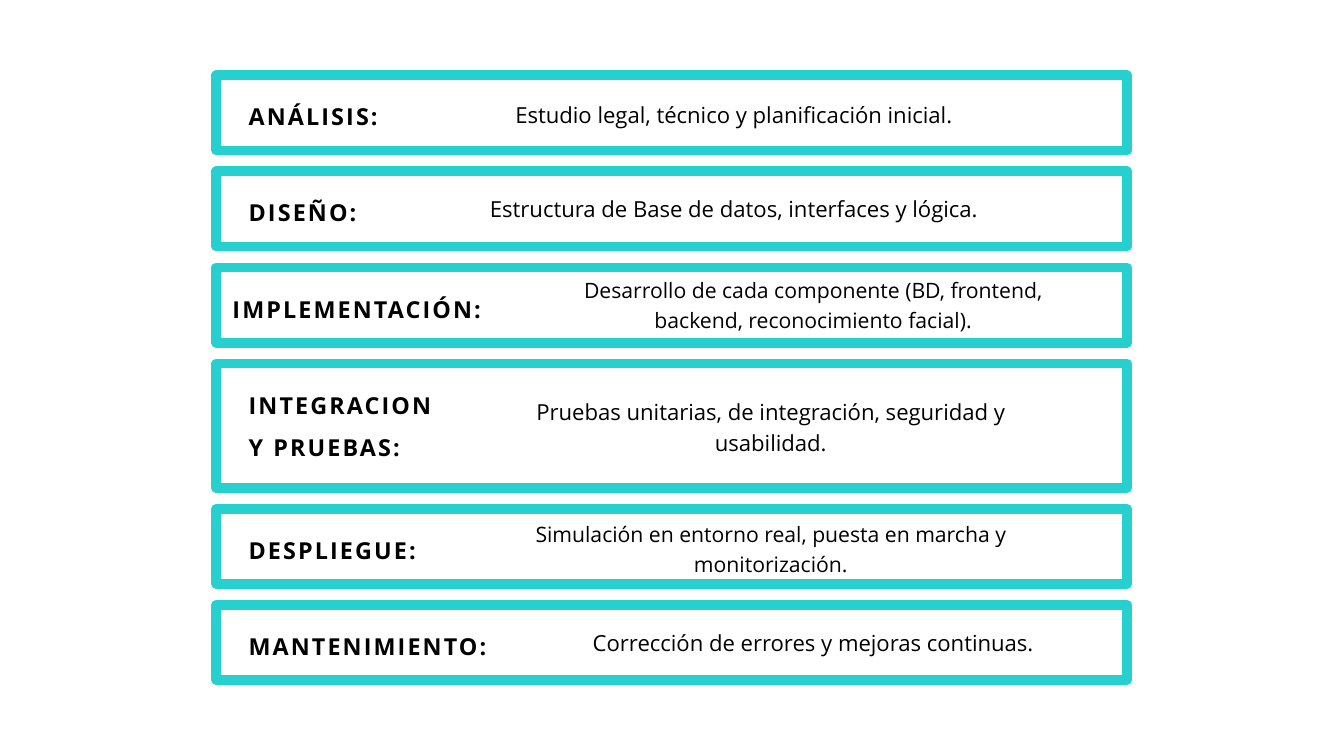
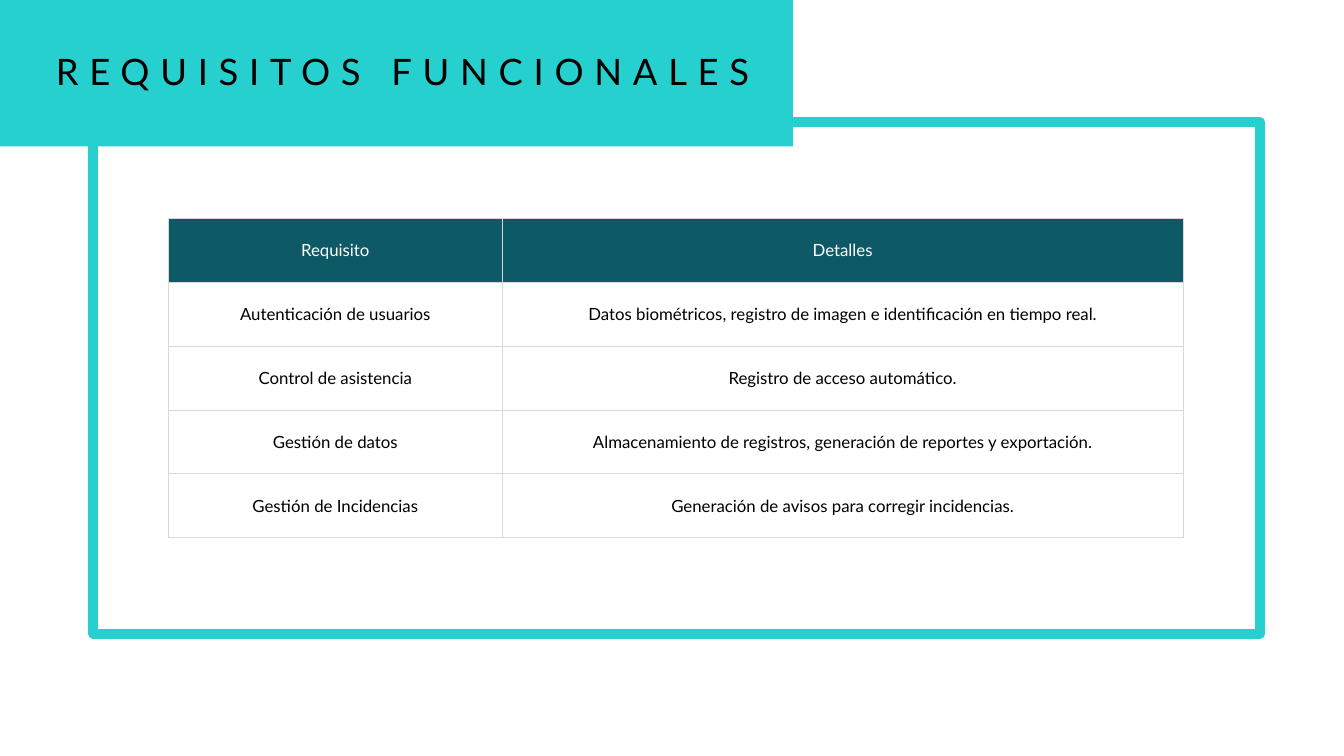
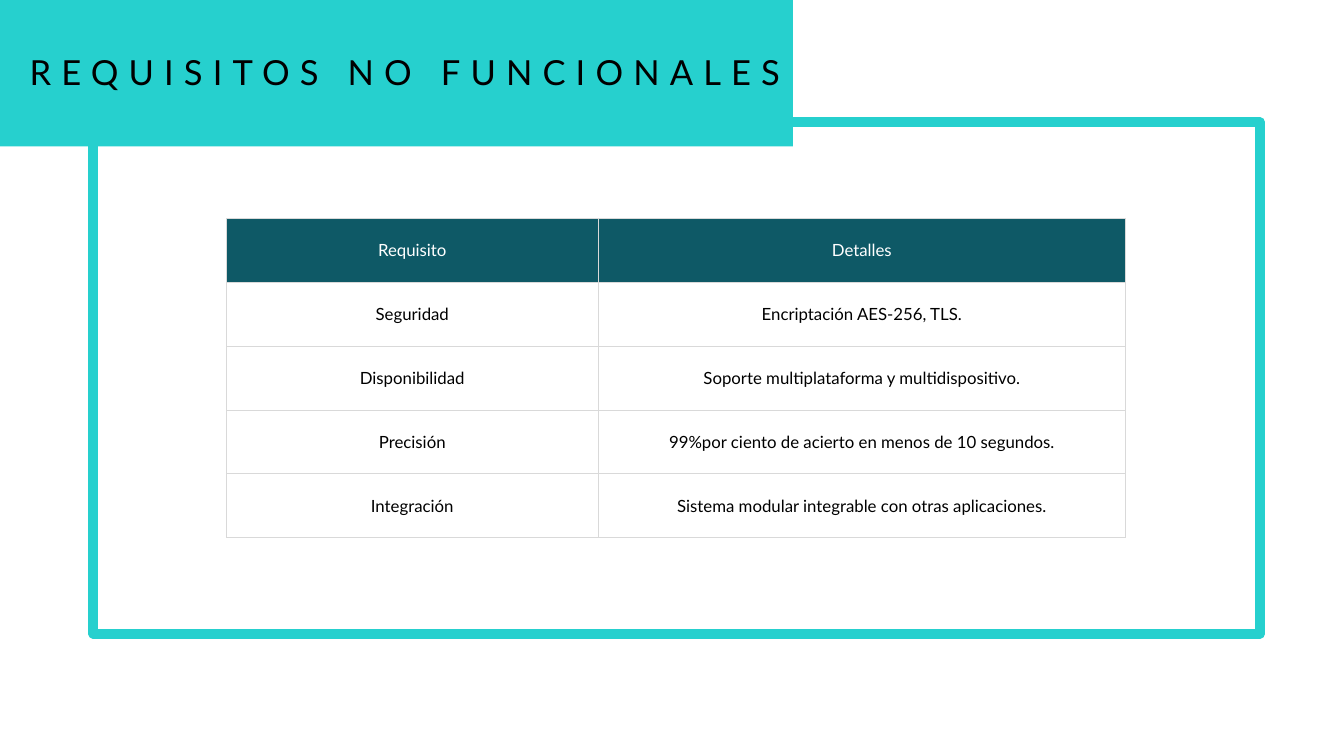
import dataclasses

import pptx
import pptx.dml.color
import pptx.enum.shapes
import pptx.enum.text
import pptx.oxml
import pptx.oxml.ns
import pptx.util
from lxml import etree

Inches = pptx.util.Inches
Pt = pptx.util.Pt
ALIGN = pptx.enum.text.PP_ALIGN

# Shared look
TURQUOISE = "26D0CE"
PETROL = "0E5966"
GRID = "D9D9D9"
BLACK = "000000"
WHITE = "FFFFFF"
FRAME_WIDTH = 10.5
TITLE_ONLY, BLANK = 5, 6

# Phase rows
ROW_LEFT, ROW_TOP, ROW_WIDTH, ROW_GAP = 3.22, 1.12, 13.55, 0.31
LABEL_OFFSET, DETAIL_WIDTH = 0.19, 8.14

# Requirement tables
TABLE_TOP, TABLE_ROW_HEIGHT = 3.25, 0.95
HEADINGS = ("Requisito", "Detalles")


@dataclasses.dataclass(frozen=True)
class Style:
    font: str
    size: float
    leading: float
    bold: bool = False
    tracking: float = 0
    align: ALIGN = ALIGN.LEFT


@dataclasses.dataclass(frozen=True)
class Phase:
    label: tuple[str, ...]
    label_width: float
    detail: str
    detail_left: float
    detail_offset: float
    detail_height: float
    detail_style: Style
    label_left: float = 3.7
    height: float = 1.12


@dataclasses.dataclass(frozen=True)
class Requirements:
    title: str
    title_left: float
    title_top: float
    title_height: float
    title_style: Style
    table_left: float
    columns: tuple[float, float]
    rows: tuple[tuple[str, str], ...]


LABEL = Style("Open Sans", 25, 45.5, bold=True, tracking=2.3)
DETAIL = Style("Open Sans", 23.7, 33.1, align=ALIGN.CENTER)
TIGHT_DETAIL = Style("Open Sans", 22.7, 31.7, align=ALIGN.CENTER)

PHASES = (
    Phase(("ANÁLISIS:",), 2.18, "Estudio legal, técnico y planificación inicial.",
          6.85, 0.32, 0.44, DETAIL),
    Phase(("DISEÑO:",), 1.85, "Estructura de Base de datos, interfaces y lógica.",
          6.85, 0.3, 0.44, DETAIL),
    Phase(("IMPLEMENTACIÓN:",), 3.94,
          "Desarrollo de cada componente (BD, frontend, backend, reconocimiento facial).",
          8.03, 0.09, 0.85, TIGHT_DETAIL, label_left=3.46),
    Phase(("INTEGRACION", "Y PRUEBAS:"), 3.15,
          "Pruebas unitarias, de integración, seguridad y usabilidad.",
          7.4, 0.45, 0.9, DETAIL, height=1.85),
    Phase(("DESPLIEGUE:",), 2.73,
          "Simulación en entorno real, puesta en marcha y monitorización.",
          7.4, 0.13, 0.85, TIGHT_DETAIL),
    Phase(("MANTENIMIENTO:",), 3.7, "Corrección de errores y mejoras continuas.",
          8.03, 0.3, 0.44, DETAIL),
)

REQUIREMENTS = (
    Requirements(
        "REQUISITOS FUNCIONALES", 0.83, 0.77, 0.63,
        Style("Lato", 39, 43.7, tracking=11.5), 2.51, (4.96, 10.14),
        (
            ("Autenticación de usuarios",
             "Datos biométricos, registro de imagen e identificación en tiempo real."),
            ("Control de asistencia", "Registro de acceso automático."),
            ("Gestión de datos",
             "Almacenamiento de registros, generación de reportes y exportación."),
            ("Gestión de Incidencias", "Generación de avisos para corregir incidencias."),
        ),
    ),
    Requirements(
        "REQUISITOS NO FUNCIONALES", 0.44, 0.8, 0.59,
        Style("Lato", 37, 41.4, tracking=10.9), 3.37, (5.53, 7.85),
        (
            ("Seguridad", "Encriptación AES-256, TLS."),
            ("Disponibilidad", "Soporte multiplataforma y multidispositivo."),
            ("Precisión", "99%por ciento de acierto en menos de 10 segundos."),
            ("Integración", "Sistema modular integrable con otras aplicaciones."),
        ),
    ),
)


def rgb(value: str) -> pptx.dml.color.RGBColor:
    return pptx.dml.color.RGBColor.from_string(value)


def set_values(target, values: dict) -> None:
    for name, value in values.items():
        setattr(target, name, value)


def box(left: float, top: float, width: float, height: float) -> tuple:
    return tuple(Inches(length) for length in (left, top, width, height))


def add_rectangle(slide, place: tuple, fill: str = "", line: str = "") -> None:
    rectangle = slide.shapes.add_shape(pptx.enum.shapes.MSO_SHAPE.RECTANGLE, *place)
    rectangle.shadow.inherit = False
    if fill:
        rectangle.fill.solid()
        rectangle.fill.fore_color.rgb = rgb(fill)
    else:
        rectangle.fill.background()
    if line:
        rectangle.line.color.rgb = rgb(line)
        rectangle.line.width = Pt(FRAME_WIDTH)
    else:
        rectangle.line.fill.background()


def write(frame, lines: tuple[str, ...], style: Style) -> None:
    set_values(frame, {
        "margin_left": 0, "margin_top": 0, "margin_right": 0, "margin_bottom": 0,
        "word_wrap": True,
        "auto_size": pptx.enum.text.MSO_AUTO_SIZE.SHAPE_TO_FIT_TEXT,
        "vertical_anchor": pptx.enum.text.MSO_ANCHOR.TOP,
    })
    for index, text in enumerate(lines):
        paragraph = frame.add_paragraph() if index else frame.paragraphs[0]
        set_values(paragraph, {"alignment": style.align, "line_spacing": Pt(style.leading)})
        run = paragraph.add_run()
        run.text = text
        set_values(run.font, {"name": style.font, "size": Pt(style.size), "bold": style.bold})
        run.font.color.rgb = rgb(BLACK)
        if style.tracking:
            run._r.get_or_add_rPr().set("spc", str(round(style.tracking * 100)))


def add_text(slide, place: tuple, lines: tuple[str, ...], style: Style) -> None:
    write(slide.shapes.add_textbox(*place).text_frame, lines, style)


def add_phase(slide, phase: Phase, top: float) -> None:
    add_rectangle(slide, box(ROW_LEFT, top, ROW_WIDTH, phase.height), line=TURQUOISE)
    label_height = 0.58 + 0.62 * (len(phase.label) - 1)
    add_text(slide, box(phase.label_left, top + LABEL_OFFSET, phase.label_width, label_height),
             phase.label, LABEL)
    add_text(slide, box(phase.detail_left, top + phase.detail_offset,
                        DETAIL_WIDTH, phase.detail_height),
             (phase.detail,), phase.detail_style)


def add_borders(cell) -> None:
    qn = pptx.oxml.ns.qn
    properties = cell._tc.get_or_add_tcPr()
    for side in ("a:lnL", "a:lnR", "a:lnT", "a:lnB"):
        border = etree.SubElement(properties, qn(side), w=str(Pt(0.75)))
        fill = etree.SubElement(border, qn("a:solidFill"))
        etree.SubElement(fill, qn("a:srgbClr"), val=GRID)


def fill_cell(cell, text: str, fill: str, colour: str) -> None:
    add_borders(cell)
    cell.fill.solid()
    cell.fill.fore_color.rgb = rgb(fill)
    cell.vertical_anchor = pptx.enum.text.MSO_ANCHOR.MIDDLE
    paragraph = cell.text_frame.paragraphs[0]
    paragraph.alignment = ALIGN.CENTER
    run = paragraph.add_run()
    run.text = text
    set_values(run.font, {"name": "Lato", "size": Pt(18), "bold": False})
    run.font.color.rgb = rgb(colour)


def add_requirements_table(slide, content: Requirements) -> None:
    rows = (HEADINGS, *content.rows)
    place = box(content.table_left, TABLE_TOP, sum(content.columns),
                TABLE_ROW_HEIGHT * len(rows))
    table = slide.shapes.add_table(len(rows), len(HEADINGS), *place).table
    table.horz_banding = False
    for column, width in zip(table.columns, content.columns):
        column.width = Inches(width)
    for row_index, row in enumerate(rows):
        fill, colour = (WHITE, BLACK) if row_index else (PETROL, WHITE)
        for column_index, text in enumerate(row):
            fill_cell(table.cell(row_index, column_index), text, fill, colour)


def add_title(slide, content: Requirements) -> None:
    title = slide.shapes.title
    left, top, width, height = box(content.title_left, content.title_top,
                                   12.46, content.title_height)
    set_values(title, {"left": left, "top": top, "width": width, "height": height})
    write(title.text_frame, (content.title,), content.title_style)
    # Bring the title in front of its band
    slide.shapes._spTree.append(title._element)


def build_phases(deck) -> None:
    slide = deck.slides.add_slide(deck.slide_layouts[BLANK])
    top = ROW_TOP
    for phase in PHASES:
        add_phase(slide, phase, top)
        top += phase.height + ROW_GAP


def build_requirements(deck, content: Requirements) -> None:
    slide = deck.slides.add_slide(deck.slide_layouts[TITLE_ONLY])
    add_rectangle(slide, box(1.39, 1.82, 17.36, 7.61), line=TURQUOISE)
    add_rectangle(slide, box(0, 0, 11.8, 2.18), fill=TURQUOISE)
    add_title(slide, content)
    add_requirements_table(slide, content)


def main() -> None:
    deck = pptx.Presentation()
    set_values(deck, {"slide_width": Inches(20), "slide_height": Inches(11.25)})
    build_phases(deck)
    for content in REQUIREMENTS:
        build_requirements(deck, content)
    deck.save("out.pptx")


if __name__ == "__main__":
    main()
